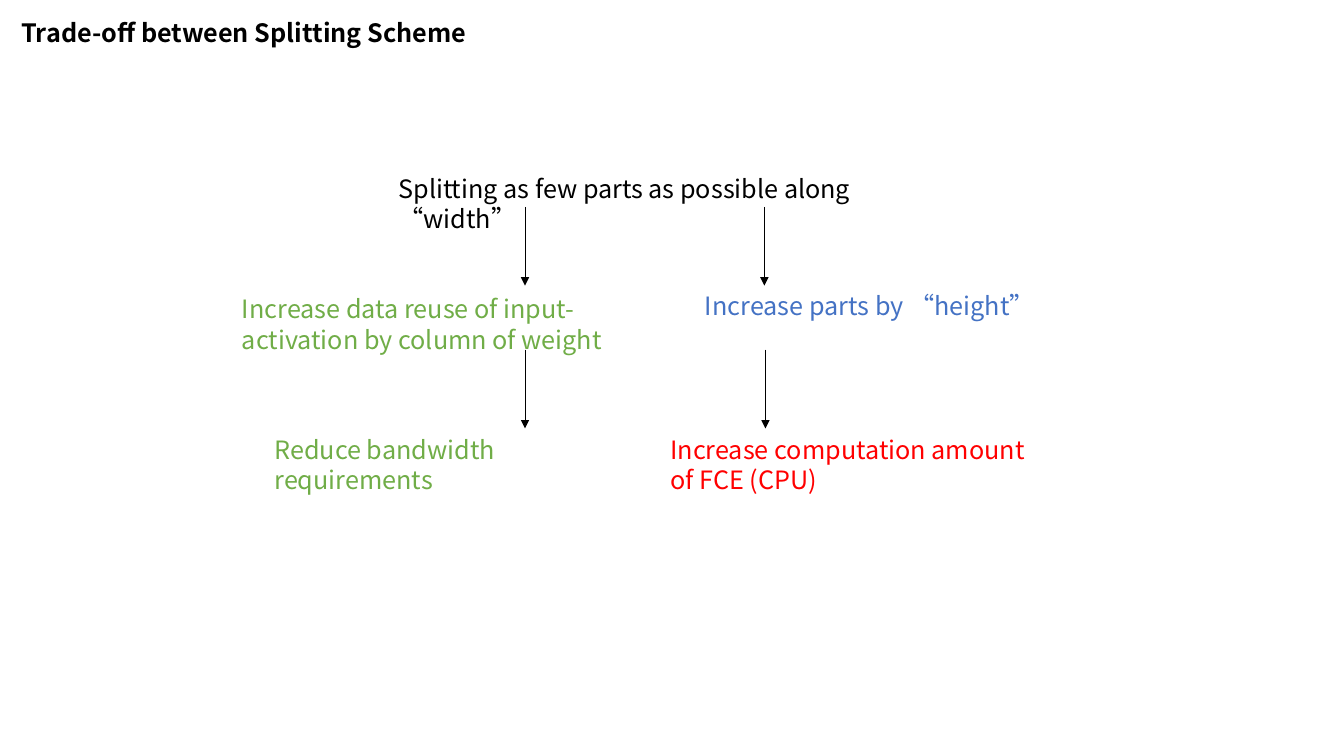
from dataclasses import dataclass

from lxml.etree import SubElement
from pptx import Presentation
from pptx.dml.color import RGBColor
from pptx.enum.shapes import MSO_CONNECTOR
from pptx.oxml.ns import qn
from pptx.util import Emu, Pt


@dataclass(frozen=True)
class Theme:
    font: str = "Noto Sans CJK SC"
    text_pt: int = 18
    line_pt: float = 0.5
    ink: str = "000000"
    benefit: str = "70AD47"
    change: str = "4472C4"
    cost: str = "FF0000"


THEME = Theme()
PX = 9525  # EMU per px, 96 px to the inch
SLIDE_SIZE = (1280, 720)
LINE_HEIGHT, PADDING = 29, 10

TITLE = ("Trade-off between Splitting Scheme", (11, 12), 444)

# text, (left, top), width, lines, colour
STATEMENTS = [
    ("Splitting as few parts as possible along “width”", (370, 160), 502, 1, THEME.ink),
    ("Increase data reuse of input-activation by column of weight", (221, 275), 420, 2, THEME.benefit),
    ("Reduce bandwidth requirements", (252, 409), 359, 1, THEME.benefit),
    ("Increase parts by “height”", (662, 272), 420, 1, THEME.change),
    ("Increase computation amount of FCE (CPU)", (629, 409), 359, 2, THEME.cost),
]

ARROW_LENGTH = 75
ARROW_STARTS = [(500, 197), (728, 197), (500, 333), (729, 333)]


def px(length):
    return Emu(length * PX)


def add_text(slide, text, position, width, *, lines=1, color=THEME.ink, bold=False):
    left, top = position
    height = lines * LINE_HEIGHT + PADDING
    frame = slide.shapes.add_textbox(px(left), px(top), px(width), px(height)).text_frame
    frame.word_wrap = True
    run = frame.paragraphs[0].add_run()
    run.text = text
    run.font.name = THEME.font
    run.font.size = Pt(THEME.text_pt)
    run.font.bold = bold
    run.font.color.rgb = RGBColor.from_string(color)
    SubElement(run.font._element, qn("a:ea"), typeface=THEME.font)


def add_down_arrow(slide, start):
    x, y = start
    arrow = slide.shapes.add_connector(
        MSO_CONNECTOR.STRAIGHT, px(x), px(y), px(x), px(y + ARROW_LENGTH)
    )
    arrow.line.width = Pt(THEME.line_pt)
    arrow.line.color.rgb = RGBColor.from_string(THEME.ink)
    properties = arrow._element.spPr
    SubElement(properties.find(qn("a:ln")), qn("a:tailEnd"), type="triangle")
    SubElement(properties, qn("a:effectLst"))


def main():
    presentation = Presentation()
    presentation.slide_width, presentation.slide_height = map(px, SLIDE_SIZE)
    slide = presentation.slides.add_slide(presentation.slide_layouts[6])

    add_text(slide, *TITLE, bold=True)
    for text, position, width, lines, color in STATEMENTS:
        add_text(slide, text, position, width, lines=lines, color=color)
    for start in ARROW_STARTS:
        add_down_arrow(slide, start)

    presentation.save("out.pptx")


if __name__ == "__main__":
    main()
